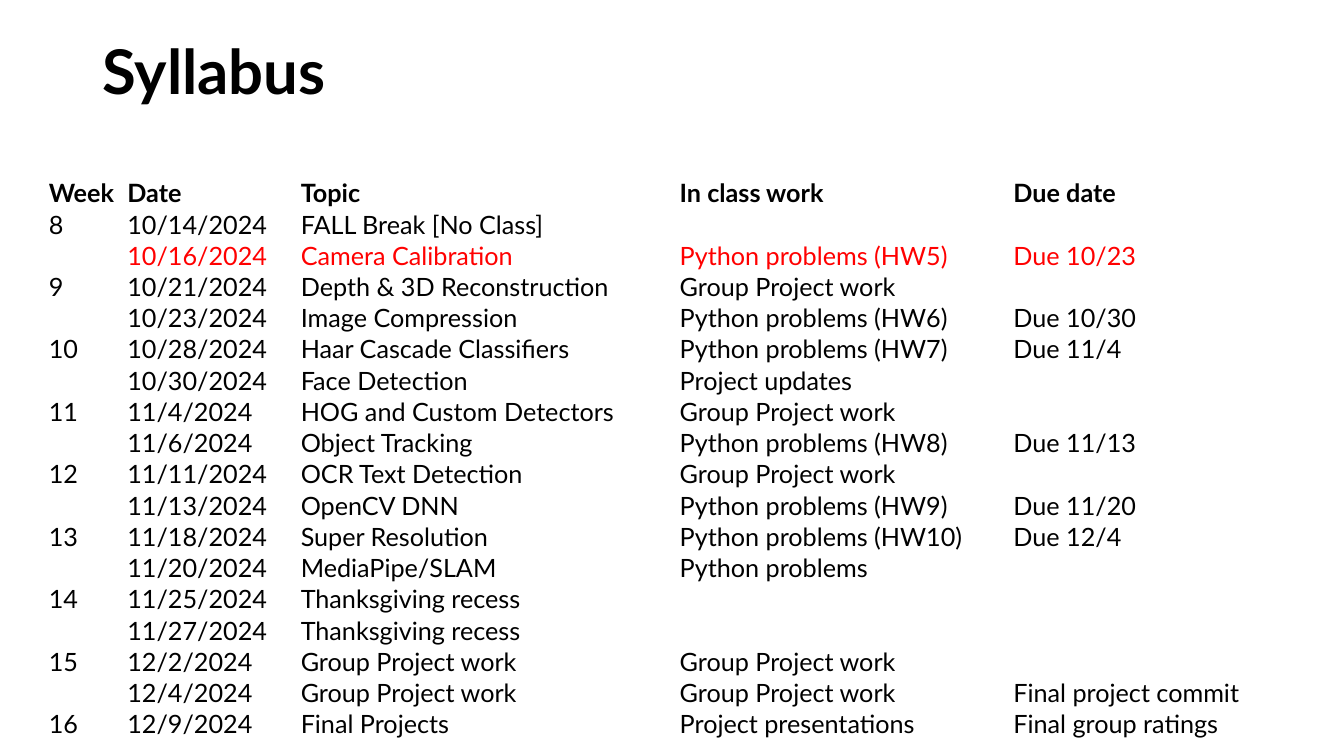
"""Build the second-half course syllabus slide."""
from dataclasses import dataclass

from pptx import Presentation
from pptx import util as u
from pptx.dml.color import RGBColor
from pptx.enum import text

TITLE = "Syllabus"
HEADINGS = ("Week", "Date", "Topic", "In class work", "Due date")
CURRENT_DATE = "10/16/2024"
CLASSES = [
    ("8", "10/14/2024", "FALL Break [No Class]", "", ""),
    ("", "10/16/2024", "Camera Calibration", "Python problems (HW5)", "Due 10/23"),
    ("9", "10/21/2024", "Depth & 3D Reconstruction", "Group Project work", ""),
    ("", "10/23/2024", "Image Compression", "Python problems (HW6)", "Due 10/30"),
    ("10", "10/28/2024", "Haar Cascade Classifiers", "Python problems (HW7)", "Due 11/4"),
    ("", "10/30/2024", "Face Detection", "Project updates", ""),
    ("11", "11/4/2024", "HOG and Custom Detectors", "Group Project work", ""),
    ("", "11/6/2024", "Object Tracking", "Python problems (HW8)", "Due 11/13"),
    ("12", "11/11/2024", "OCR Text Detection", "Group Project work", ""),
    ("", "11/13/2024", "OpenCV DNN", "Python problems (HW9)", "Due 11/20"),
    ("13", "11/18/2024", "Super Resolution", "Python problems (HW10)", "Due 12/4"),
    ("", "11/20/2024", "MediaPipe/SLAM", "Python problems", ""),
    ("14", "11/25/2024", "Thanksgiving recess", "", ""),
    ("", "11/27/2024", "Thanksgiving recess", "", ""),
    ("15", "12/2/2024", "Group Project work", "Group Project work", ""),
    ("", "12/4/2024", "Group Project work", "Group Project work", "Final project commit"),
    ("16", "12/9/2024", "Final Projects", "Project presentations", "Final group ratings"),
]
COLUMN_WIDTHS = (1.98, 4.37, 9.55, 8.41, 6.43)
TABLE_LEFT, TABLE_TOP, TABLE_HEIGHT = 1.22, 4.47, 14.17
CELL_INSET = 0.01


@dataclass(frozen=True)
class Theme:
    """Colours, font and type sizes."""
    ink: RGBColor = RGBColor(0, 0, 0)
    current: RGBColor = RGBColor(255, 0, 0)
    paper: RGBColor = RGBColor(255, 255, 255)
    font: str = "Lato"
    title: int = 44
    body: int = 18


THEME = Theme()


def write(tf, content, size=THEME.body, color=THEME.ink, bold=False, spacing=None):
    """Put one formatted line into a text frame."""
    p = tf.paragraphs[0]
    p.alignment = text.PP_ALIGN.LEFT
    if spacing:
        p.line_spacing = spacing
    r = p.add_run()
    r.text = content
    r.font.name, r.font.size, r.font.bold = THEME.font, u.Pt(size), bold
    r.font.color.rgb = color


def add_title(s):
    """Place the slide title."""
    sp = s.shapes.title
    sp.left, sp.top, sp.width, sp.height = map(u.Cm, (2.33, 0.03, 29.21, 3.68))
    tf = sp.text_frame
    tf.auto_size = text.MSO_AUTO_SIZE.NONE
    tf.vertical_anchor = text.MSO_ANCHOR.MIDDLE
    write(tf, TITLE, size=THEME.title, bold=True, spacing=0.9)


def add_schedule(s):
    """Place the class schedule with equal row heights."""
    rows = [HEADINGS, *CLASSES]
    frame = s.shapes.add_table(
        len(rows), len(HEADINGS), u.Cm(TABLE_LEFT), u.Cm(TABLE_TOP),
        u.Cm(sum(COLUMN_WIDTHS)), u.Cm(TABLE_HEIGHT))
    table = frame.table
    table.first_row = table.horz_banding = False
    for column, width in zip(table.columns, COLUMN_WIDTHS):
        column.width = u.Cm(width)
    for row, values in zip(table.rows, rows):
        row.height = u.Cm(TABLE_HEIGHT / len(rows))
        color = THEME.current if values[1] == CURRENT_DATE else THEME.ink
        for cell, value in zip(row.cells, values):
            cell.fill.solid()
            cell.fill.fore_color.rgb = THEME.paper
            cell.vertical_anchor = text.MSO_ANCHOR.MIDDLE
            cell.margin_left = cell.margin_right = u.Cm(CELL_INSET)
            cell.margin_top = cell.margin_bottom = u.Cm(CELL_INSET)
            write(cell.text_frame, value, color=color, bold=values is HEADINGS)


def main():
    """Create and save the slide."""
    prs = Presentation()
    prs.slide_width, prs.slide_height = u.Cm(33.87), u.Cm(19.05)
    s = prs.slides.add_slide(prs.slide_layouts[5])
    add_schedule(s)
    add_title(s)
    prs.save("out.pptx")


if __name__ == "__main__":
    main()
